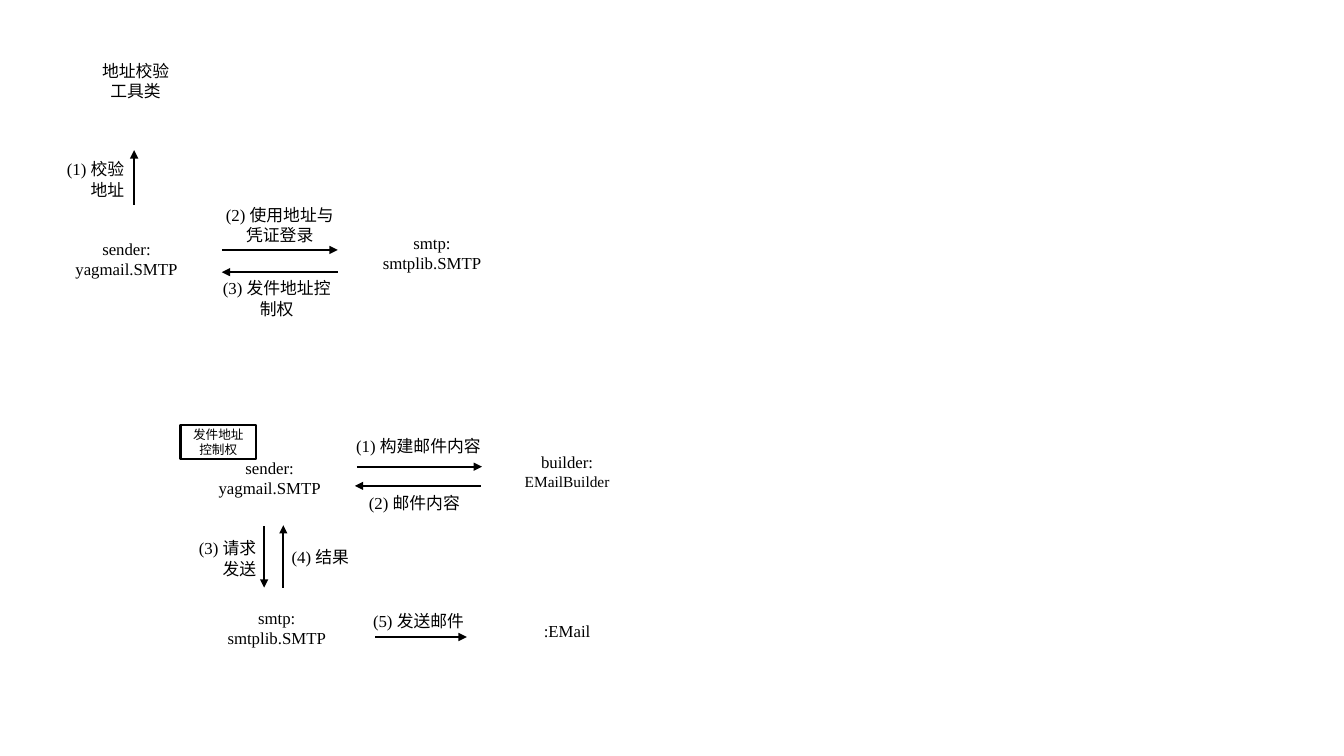
from lxml.etree import SubElement
from pptx import Presentation
from pptx.dml.color import RGBColor
from pptx.enum.shapes import MSO_CONNECTOR, MSO_SHAPE
from pptx.enum.text import MSO_ANCHOR, MSO_AUTO_SIZE, PP_ALIGN
from pptx.oxml.ns import qn
from pptx.util import Inches, Pt

COLORS = {"ink": RGBColor.from_string("000000"), "paper": RGBColor.from_string("FFFFFF")}
LATIN, HAN = "Times New Roman", "Noto Sans CJK SC"
CELL = Inches(0.1)  # side of one grid square
NODE = 13.1  # width of an object's label, in cells
LINE = 2  # height of one line of text, in cells
MID, RIGHT = PP_ALIGN.CENTER, PP_ALIGN.RIGHT


def write(shape, text, align=MID, font=LATIN, sizes=(12,)):
    """Fill a shape with one paragraph per line; the last size carries on."""
    frame = shape.text_frame
    frame.word_wrap = True
    frame.text = text
    for i, para in enumerate(frame.paragraphs):
        para.alignment = align
        run = para.runs[0]
        run.font.name = font
        run.font.size = Pt(sizes[min(i, len(sizes) - 1)])
        run.font.color.rgb = COLORS["ink"]
        SubElement(run.font._element, qn("a:ea")).set("typeface", HAN)


def arrow(shapes, *ends):
    """Draw an arrow between two points given in cells."""
    line = shapes.add_connector(MSO_CONNECTOR.STRAIGHT, *[int(v * CELL) for v in ends])
    line.line.color.rgb = COLORS["ink"]
    line.line.width = Pt(1.5)
    SubElement(line.line._get_or_add_ln(), qn("a:tailEnd")).set("type", "triangle")
    SubElement(line._element.spPr, qn("a:effectLst"))


deck = Presentation()
deck.slide_width, deck.slide_height = Inches(13.33), Inches(7.5)
slide = deck.slides.add_slide(deck.slide_layouts[6])

# Labels: left, top, width, rows of text, text, format
login = {
    "labels": [
        (6, 23.2, NODE, 2, "sender:\nyagmail.SMTP", {}),
        (4.3, 15.3, 9, 2, "(1) 校验地址", {"align": RIGHT}),
        (36.3, 22.6, NODE, 2, "smtp:\nsmtplib.SMTP", {}),
        (6.9, 5.5, NODE, 2, "地址校验\n工具类", {"font": HAN}),
        (21.1, 19.8, 13.3, 2, "(2) 使用地址与凭证登录", {}),
        (20.8, 27.1, 13.3, 2, "(3) 发件地址控制权", {}),
    ],
    "arrows": [
        (13.3, 20.3, 13.3, 14.9),
        (22, 24.8, 33.5, 24.8),
        (33.5, 27, 22, 27),
    ],
}
send = {
    "labels": [
        (20.2, 44.9, NODE, 2, "sender:\nyagmail.SMTP", {}),
        (49.7, 61.1, NODE, 1, ":EMail", {}),
        (33.4, 42.7, 16.2, 1, "(1) 构建邮件内容", {}),
        (49.7, 44.3, NODE, 2, "builder:\nEMailBuilder", {"sizes": (12, 11)}),
        (34.9, 48.4, 12.4, 1, "(2) 邮件内容", {}),
        (20.9, 59.8, NODE, 2, "smtp:\nsmtplib.SMTP", {}),
        (17.4, 52.9, 9, 2, "(3) 请求发送", {"align": RIGHT}),
        (26.6, 53.7, 9, 1, "(4) 结果", {"align": RIGHT}),
        (33.9, 60.1, NODE, 1, "(5) 发送邮件", {"align": RIGHT}),
    ],
    "arrows": [
        (35.4, 46.3, 47.8, 46.3),
        (47.7, 48.2, 35.2, 48.2),
        (26.2, 52.2, 26.2, 58.3),
        (28.1, 58.3, 28.1, 52.1),
        (37.2, 63.2, 46.3, 63.2),
    ],
}

for scene in (login, send):
    group = slide.shapes.add_group_shape()
    for left, top, width, rows, text, style in scene["labels"]:
        spot = (left, top, width, rows * LINE + 1)
        label = group.shapes.add_textbox(*[int(v * CELL) for v in spot])
        write(label, text, **style)
        label.text_frame.auto_size = MSO_AUTO_SIZE.SHAPE_TO_FIT_TEXT
    for ends in scene["arrows"]:
        arrow(group.shapes, *ends)

# The token that the sender holds in the second scene
token = group.shapes.add_shape(
    MSO_SHAPE.RECTANGLE, *[int(v * CELL) for v in (17.9, 42.2, 7.5, 3.3)])
token.shadow.inherit = False
token.fill.solid()
token.fill.fore_color.rgb = COLORS["paper"]
token.line.color.rgb = COLORS["ink"]
token.line.width = Pt(1.5)
write(token, "发件地址\n控制权", font=HAN, sizes=(9,))
token.text_frame.vertical_anchor = MSO_ANCHOR.MIDDLE

deck.save("out.pptx")
